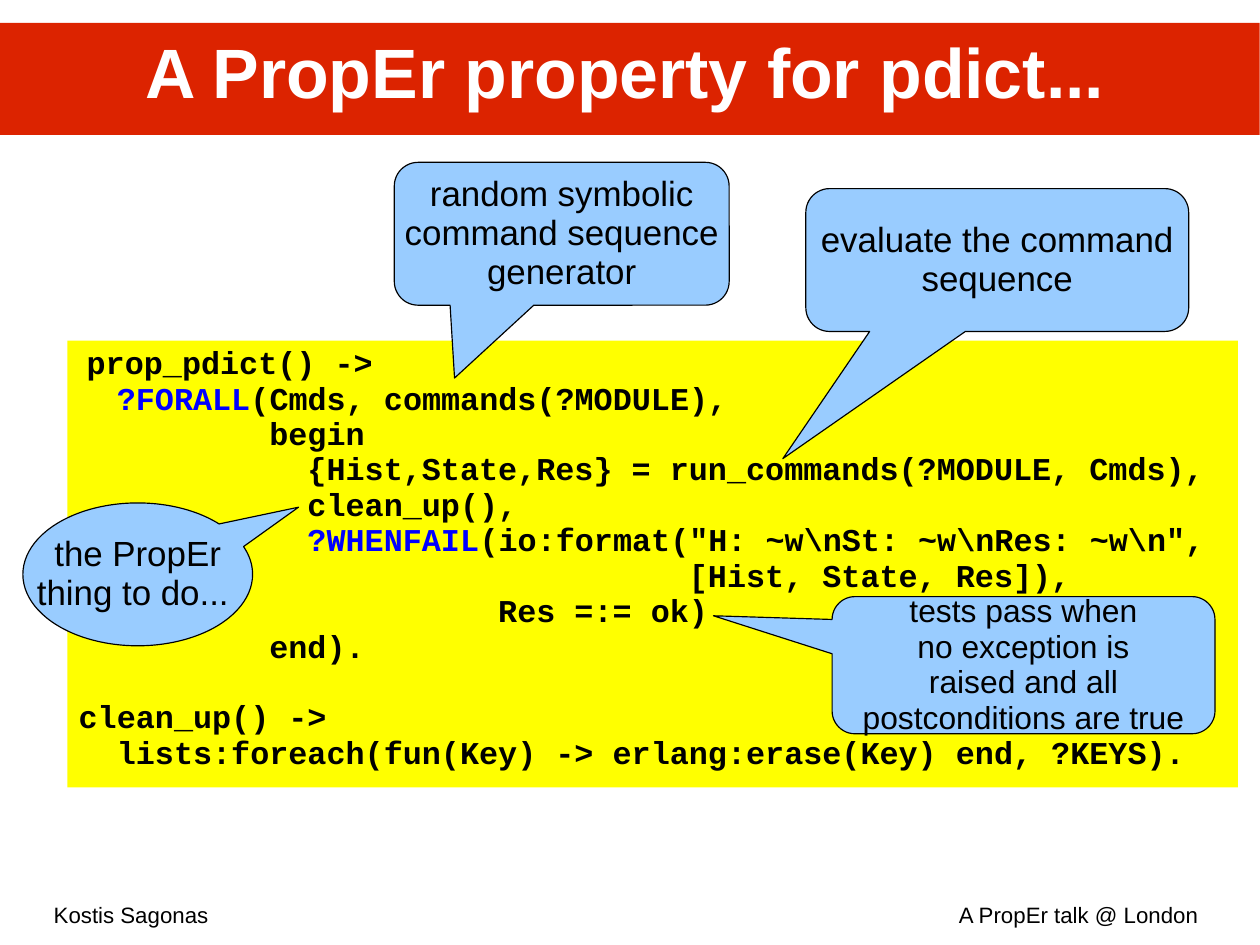
from pptx import Presentation
from pptx.dml.color import RGBColor
from pptx.enum.shapes import MSO_SHAPE
from pptx.enum.text import MSO_ANCHOR, PP_ALIGN
from pptx.util import Cm, Inches, Pt

RED = RGBColor(0xDC, 0x23, 0x00)
YELLOW = RGBColor(0xFF, 0xFF, 0x00)
LIGHT_BLUE = RGBColor(0x99, 0xCC, 0xFF)
BLUE = RGBColor(0x00, 0x00, 0xFF)
BLACK = RGBColor(0x00, 0x00, 0x00)
WHITE = RGBColor(0xFF, 0xFF, 0xFF)

RECT = MSO_SHAPE.RECTANGLE
ROUNDED = MSO_SHAPE.ROUNDED_RECTANGULAR_CALLOUT
OVAL = MSO_SHAPE.OVAL_CALLOUT
TOP, MIDDLE = MSO_ANCHOR.TOP, MSO_ANCHOR.MIDDLE
LEFT, CENTER = PP_ALIGN.LEFT, PP_ALIGN.CENTER

CODE = [
    "prop_pdict() ->",
    "  ?FORALL(Cmds, commands(?MODULE),",
    "          begin",
    "            {Hist,State,Res} = run_commands(?MODULE, Cmds),",
    "            clean_up(),",
    '            ?WHENFAIL(io:format("H: ~w\\nSt: ~w\\nRes: ~w\\n",',
    "                                [Hist, State, Res]),",
    "                      Res =:= ok)",
    "          end).",
    "clean_up() ->",
    "  lists:foreach(fun(Key) -> erlang:erase(Key) end, ?KEYS).",
]
MACROS = ("?FORALL", "?WHENFAIL")

CALLOUTS = [
    (ROUNDED, (3.45, 1.42, 2.93, 1.25), (-0.32, 1.01), 22,
     ["random symbolic", "command sequence", "generator"]),
    (ROUNDED, (7.05, 1.65, 3.35, 1.25), (-0.56, 1.39), 22,
     ["evaluate the command", "sequence"]),
    (OVAL, (0.2, 4.4, 2.01, 1.25), (0.7, -0.47), 22,
     ["the PropEr", "thing to do... "]),
    (ROUNDED, (7.28, 5.22, 3.35, 1.2), (-0.81, -0.36), 20,
     ["tests pass when", "no exception is", "raised and all",
      "postconditions are true"]),
]


class SlideBuilder:
    """Draws styled elements on the current slide."""

    font = "Arial"
    code_font = "Courier New"
    spacing = 0.93

    def __init__(self, slide):
        self.slide = slide

    def shape(self, kind, box, fill, line=None):
        sp = self.slide.shapes.add_shape(kind, *map(Inches, box))
        sp.shadow.inherit = False
        sp.fill.solid()
        sp.fill.fore_color.rgb = fill
        if line is None:
            sp.line.fill.background()
        else:
            sp.line.color.rgb = line
            sp.line.width = Pt(0.75)
        return sp

    def paragraph(self, tf, i, size, color, align, name, bold=False):
        p = tf.paragraphs[0] if i == 0 else tf.add_paragraph()
        p.alignment = align
        p.line_spacing = self.spacing
        p.font.name = name
        p.font.size = Pt(size)
        p.font.bold = bold
        p.font.color.rgb = color
        return p

    def text(self, box, text, size, color=BLACK, align=LEFT, anchor=TOP, bold=False):
        tf = self.slide.shapes.add_textbox(*map(Inches, box)).text_frame
        tf.margin_left = tf.margin_right = tf.margin_top = tf.margin_bottom = 0
        tf.word_wrap = True
        tf.vertical_anchor = anchor
        self.paragraph(tf, 0, size, color, align, self.font, bold).text = text

    def callout(self, kind, box, tip, size, lines):
        sp = self.shape(kind, box, LIGHT_BLUE, BLACK)
        sp.adjustments[0], sp.adjustments[1] = tip
        tf = sp.text_frame
        tf.word_wrap = False
        tf.vertical_anchor = MIDDLE
        for i, line in enumerate(lines):
            self.paragraph(tf, i, size, BLACK, CENTER, self.font).text = line

    def code(self, box, lines):
        tf = self.shape(RECT, box, YELLOW).text_frame
        tf.word_wrap = True
        tf.vertical_anchor = TOP
        for i, line in enumerate(lines):
            p = self.paragraph(tf, i, 20, BLACK, LEFT, self.code_font, True)
            if i == 0:
                p._p.get_or_add_pPr().set("marL", str(Inches(0.07)))
            elif line.startswith("clean_up"):
                p.space_before = Pt(22)
            macro = next((m for m in MACROS if m in line), "")
            if macro:
                indent, line = line.split(macro)
                r = p.add_run()
                r.text = indent + macro
                r.font.color.rgb = BLUE
            p.add_run().text = line


def main():
    prs = Presentation()
    prs.slide_width, prs.slide_height = Cm(28), Cm(21)
    s = SlideBuilder(prs.slides.add_slide(prs.slide_layouts[6]))
    s.shape(RECT, (0, 0.2, 11.02, 0.98), RED)
    s.text((0.47, 7.91, 1.57, 0.2), "Kostis Sagonas", 14)
    s.text((8.39, 7.91, 2.36, 0.2), "A PropEr talk @ London", 14)
    s.text((0.39, 0.2, 10.17, 0.92), "A PropEr property for pdict...", 44,
           WHITE, CENTER, MIDDLE, True)
    s.code((0.59, 2.98, 10.24, 3.91), CODE)
    for callout in CALLOUTS:
        s.callout(*callout)
    prs.save("out.pptx")


if __name__ == "__main__":
    main()
